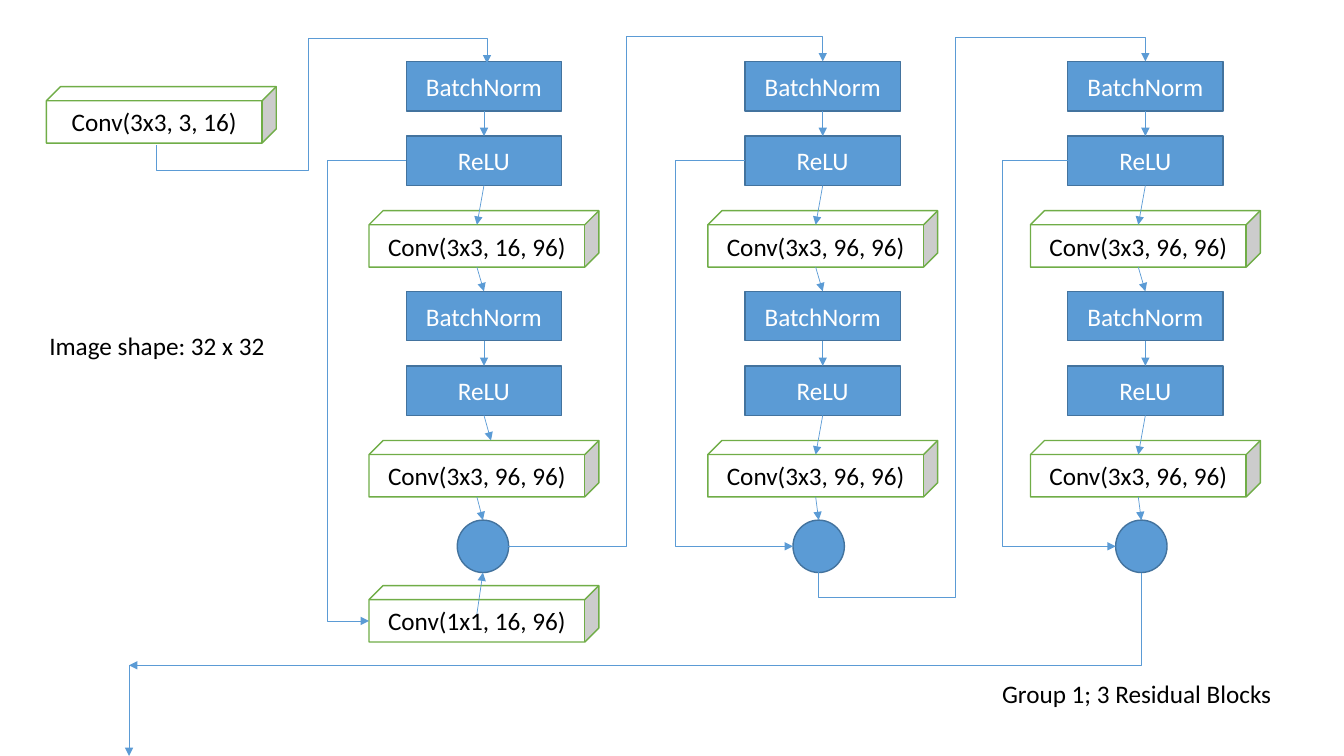
from lxml.etree import SubElement
from pptx import Presentation
from pptx.dml.color import RGBColor
from pptx.enum.shapes import MSO_CONNECTOR, MSO_SHAPE
from pptx.enum.text import MSO_ANCHOR, MSO_AUTO_SIZE, PP_ALIGN
from pptx.oxml.ns import qn
from pptx.util import Inches, Pt

BLUE = RGBColor(0x5B, 0x9B, 0xD5)
DARK_BLUE = RGBColor(0x43, 0x73, 0x9E)
GREEN = RGBColor(0x70, 0xAD, 0x47)
WHITE = RGBColor(0xFF, 0xFF, 0xFF)
BLACK = RGBColor(0, 0, 0)

TOP, BOTTOM = 0, 2
CONV_WIDTH, CONV_HEIGHT, CONV_DEPTH = 2.28, 0.56, 0.14
CONV_MIDDLE = (CONV_WIDTH - CONV_DEPTH) / 2
LAYER_WIDTH, LAYER_HEIGHT, LAYER_STEP = 1.54, 0.49, 0.74
LAYER_INDENT = 0.37
LAYER_TOP = 0.61
STAGE_STEP = 2.28
SUM_TOP, SUM_WIDTH, SUM_HEIGHT = 5.16, 0.51, 0.52
SUM_MIDDLE = SUM_TOP + SUM_HEIGHT / 2
SUM_BOTTOM = SUM_TOP + SUM_HEIGHT
SHORTCUT_TOP = 5.81


def write(shape, text, color):
    frame = shape.text_frame
    frame.text = text
    font = frame.paragraphs[0].runs[0].font
    font.name, font.size = "Calibri", Pt(18)
    font.color.rgb = color


def add_part(page, kind, left, top, width, height, fill, outline):
    shape = page.shapes.add_shape(kind, Inches(left), Inches(top), Inches(width), Inches(height))
    shape.shadow.inherit = False
    shape.fill.solid()
    shape.fill.fore_color.rgb = fill
    shape.line.color.rgb = outline
    shape.line.width = Pt(1)
    return shape


def add_labelled(page, kind, left, top, width, height, fill, outline, text, color):
    shape = add_part(page, kind, left, top, width, height, fill, outline)
    write(shape, text, color)
    shape.text_frame.vertical_anchor = MSO_ANCHOR.MIDDLE
    shape.text_frame.paragraphs[0].alignment = PP_ALIGN.CENTER
    return shape


def add_conv(page, left, top, text):
    return add_labelled(page, MSO_SHAPE.CUBE, left, top, CONV_WIDTH, CONV_HEIGHT,
                        WHITE, GREEN, text, BLACK)


def add_layer(page, left, top, text):
    return add_labelled(page, MSO_SHAPE.RECTANGLE, left, top, LAYER_WIDTH, LAYER_HEIGHT,
                        BLUE, DARK_BLUE, text, WHITE)


def add_line(page, kind, begin, end):
    """Draw a thin connector with an arrowhead at its end."""
    line = page.shapes.add_connector(kind, *[Inches(value) for value in (*begin, *end)])
    line.line.color.rgb = BLUE
    line.line.width = Pt(0.5)
    SubElement(line.line._get_or_add_ln(), qn("a:tailEnd"), type="triangle")
    SubElement(line.element.spPr, qn("a:effectLst"))
    return line


def add_arrow(page, begin, end, source=None, target=None):
    """Draw a straight arrow, joined to the bottom of source and the top of target."""
    arrow = add_line(page, MSO_CONNECTOR.STRAIGHT, begin, end)
    if source is not None:
        arrow.begin_connect(source, BOTTOM)
    if target is not None:
        arrow.end_connect(target, TOP)


def add_route(page, begin, *corners_and_end):
    """Draw a bent connector through the given corner points."""
    *corners, end = corners_and_end
    delta = [end[axis] - begin[axis] for axis in (0, 1)]
    first_axis = 1 if corners[0][0] == begin[0] else 0
    local_begin, local_end = begin, end
    if first_axis == 1:  # starts vertically: a quarter turn about the centre
        x, y = [(begin[axis] + end[axis]) / 2 for axis in (0, 1)]
        local_begin = (x - delta[1] / 2, y + delta[0] / 2)
        local_end = (x + delta[1] / 2, y - delta[0] / 2)
    route = add_line(page, MSO_CONNECTOR.ELBOW, local_begin, local_end)
    properties = route.element.spPr
    if first_axis == 1:
        properties.find(qn("a:xfrm")).set("rot", "5400000")
    geometry = properties.find(qn("a:prstGeom"))
    geometry.set("prst", f"bentConnector{len(corners) + 1}")
    guides = geometry.find(qn("a:avLst"))
    for index, corner in enumerate(corners[:-1]):
        axis = (first_axis + index) % 2
        share = (corner[axis] - begin[axis]) / delta[axis]
        SubElement(guides, qn("a:gd"), name=f"adj{index + 1}", fmla=f"val {round(share * 100000)}")


def add_block(page, left, convs, sum_center, skip_x, shortcut=None):
    """Draw one residual block; shortcut labels an extra convolution on the skip path."""
    layer_left = left + LAYER_INDENT
    conv_x = left + CONV_MIDDLE
    layer_x = layer_left + LAYER_WIDTH / 2
    circle = add_part(page, MSO_SHAPE.OVAL, sum_center - SUM_WIDTH / 2, SUM_TOP,
                      SUM_WIDTH, SUM_HEIGHT, BLUE, DARK_BLUE)
    previous = None
    for stage, label in enumerate(convs):
        top = LAYER_TOP + stage * STAGE_STEP
        norm = add_layer(page, layer_left, top, "BatchNorm")
        relu = add_layer(page, layer_left, top + LAYER_STEP, "ReLU")
        conv_top = top + 2 * LAYER_STEP
        add_conv(page, left, conv_top, label)
        if previous:
            add_arrow(page, previous, (layer_x, top), target=norm)
        relu_top = top + LAYER_STEP
        add_arrow(page, (layer_x, top + LAYER_HEIGHT), (layer_x, relu_top), norm, relu)
        conv_entry = (conv_x, conv_top + CONV_DEPTH)
        if shortcut and stage == 1:
            conv_entry = (conv_x + CONV_DEPTH, conv_top)
        add_arrow(page, (layer_x, relu_top + LAYER_HEIGHT), conv_entry, source=relu)
        previous = (conv_x, conv_top + CONV_HEIGHT)
    add_arrow(page, previous, (sum_center, SUM_TOP), target=circle)

    skip_start = (layer_left, LAYER_TOP + LAYER_STEP + LAYER_HEIGHT / 2)
    skip_end = (sum_center - SUM_WIDTH / 2, SUM_MIDDLE)
    if shortcut:
        add_conv(page, left, SHORTCUT_TOP, shortcut)
        add_arrow(page, (conv_x, SHORTCUT_TOP + CONV_HEIGHT / 2), (sum_center, SUM_BOTTOM))
        skip_end = (left, SHORTCUT_TOP + (CONV_HEIGHT + CONV_DEPTH) / 2)
    add_route(page, skip_start, (skip_x, skip_start[1]), (skip_x, skip_end[1]), skip_end)


def add_caption(page, left, top, width, text):
    box = page.shapes.add_textbox(Inches(left), Inches(top), Inches(width), Inches(0.4))
    write(box, text, BLACK)
    box.text_frame.word_wrap = False
    box.text_frame.auto_size = MSO_AUTO_SIZE.SHAPE_TO_FIT_TEXT


def add_block_links(page):
    """Lead the signal from the first convolution through the blocks and off the page."""
    add_route(page, (1.55, 1.44), (1.55, 1.69), (3.06, 1.69), (3.06, 0.38),
              (4.83, 0.38), (4.83, 0.63))
    add_route(page, (5.04, SUM_MIDDLE), (6.21, SUM_MIDDLE), (6.21, 0.36),
              (8.16, 0.36), (8.16, LAYER_TOP))
    add_route(page, (8.12, SUM_BOTTOM), (8.12, 5.93), (9.48, 5.93), (9.48, 0.37),
              (11.36, 0.37), (11.36, LAYER_TOP))
    add_route(page, (11.32, SUM_BOTTOM), (11.32, 6.6), (1.28, 6.6))
    add_arrow(page, (1.28, 6.6), (1.28, 7.5))


def main():
    deck = Presentation()
    deck.slide_width, deck.slide_height = Inches(13.33), Inches(7.5)
    page = deck.slides.add_slide(deck.slide_layouts[6])
    wide = "Conv(3x3, 96, 96)"
    add_conv(page, 0.46, 0.86, "Conv(3x3, 3, 16)")
    add_block(page, 3.66, ["Conv(3x3, 16, 96)", wide], 4.79, 3.25, "Conv(1x1, 16, 96)")
    add_block(page, 7.02, [wide, wide], 8.12, 6.7)
    add_block(page, 10.22, [wide, wide], 11.32, 9.94)
    add_block_links(page)
    add_caption(page, 0.39, 3.23, 2.42, "Image shape: 32 x 32")
    add_caption(page, 9.84, 6.68, 2.9, "Group 1; 3 Residual Blocks")
    deck.save("out.pptx")


if __name__ == "__main__":
    main()
